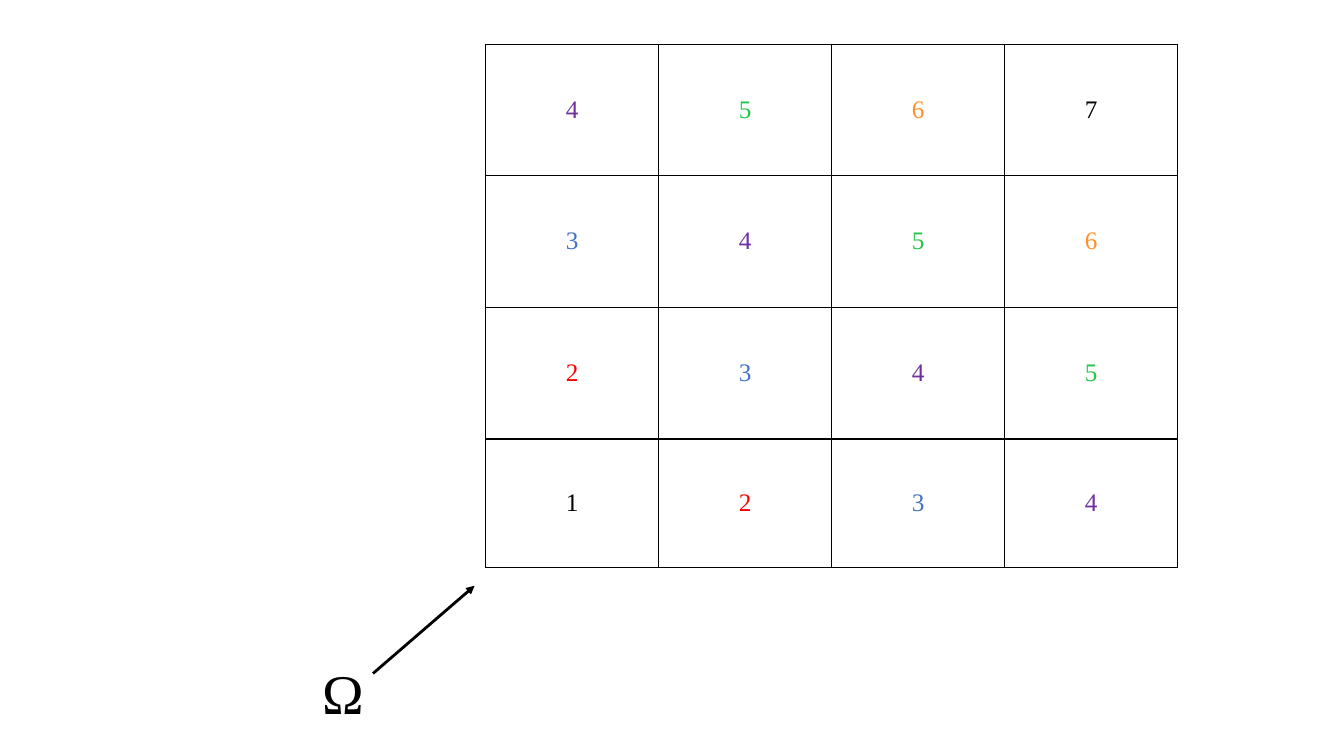
"""Build a slide with a four-by-four grid of sums and an arrow from Omega."""
from dataclasses import dataclass

import lxml.etree
import pptx
import pptx.dml.color
import pptx.enum.shapes
import pptx.enum.text
import pptx.oxml
import pptx.oxml.ns
import pptx.slide
import pptx.table
import pptx.text.text
import pptx.util

FONT = "Times New Roman"
COLOURS = {
    "black": "000000",
    "red": "FF0000",
    "blue": "4472C4",
    "purple": "7030A0",
    "green": "24C447",
    "orange": "FF8F28",
}
SUM_COLOURS = ["black", "red", "blue", "purple", "green", "orange", "black"]
COLUMN_COUNT = 4
COLUMN_WIDTH = 4.36
ROW_HEIGHTS = [3.3, 3.32, 3.32, 3.25]


@dataclass(frozen=True)
class GridCell:
    row: int
    column: int

    @property
    def total(self) -> int:
        return len(ROW_HEIGHTS) - self.row + self.column

    @property
    def colour(self) -> str:
        return SUM_COLOURS[self.total - 1]


def rgb(colour: str) -> pptx.dml.color.RGBColor:
    return pptx.dml.color.RGBColor.from_string(COLOURS[colour])


def format_runs(paragraph: pptx.text.text._Paragraph, size: int, colour: str) -> None:
    for run in paragraph.runs:
        run.font.name = FONT
        run.font.size = pptx.util.Pt(size)
        run.font.color.rgb = rgb(colour)


def add_borders(cell: pptx.table._Cell) -> None:
    properties = cell._tc.get_or_add_tcPr()
    for position, side in enumerate(("lnL", "lnR", "lnT", "lnB")):
        border = pptx.oxml.parse_xml(
            f'<a:{side} {pptx.oxml.ns.nsdecls("a")} w="{pptx.util.Pt(1)}">'
            f'<a:solidFill><a:srgbClr val="{COLOURS["black"]}"/></a:solidFill></a:{side}>'
        )
        properties.insert(position, border)


def draw_cell(table: pptx.table.Table, grid_cell: GridCell) -> None:
    cell = table.cell(grid_cell.row, grid_cell.column)
    cell.fill.background()
    add_borders(cell)
    cell.vertical_anchor = pptx.enum.text.MSO_ANCHOR.MIDDLE
    cell.text_frame.text = str(grid_cell.total)
    paragraph = cell.text_frame.paragraphs[0]
    paragraph.alignment = pptx.enum.text.PP_ALIGN.CENTER
    format_runs(paragraph, 18, grid_cell.colour)


def draw_grid(slide: pptx.slide.Slide) -> None:
    table = slide.shapes.add_table(
        len(ROW_HEIGHTS), COLUMN_COUNT,
        pptx.util.Cm(12.24), pptx.util.Cm(1.12),
        pptx.util.Cm(COLUMN_COUNT * COLUMN_WIDTH), pptx.util.Cm(sum(ROW_HEIGHTS)),
    ).table
    table.first_row = False
    table.horz_banding = False
    for column in table.columns:
        column.width = pptx.util.Cm(COLUMN_WIDTH)
    for row, height in zip(table.rows, ROW_HEIGHTS):
        row.height = pptx.util.Cm(height)
    for row in range(len(ROW_HEIGHTS)):
        for column in range(COLUMN_COUNT):
            draw_cell(table, GridCell(row, column))


def draw_arrow(slide: pptx.slide.Slide) -> None:
    arrow = slide.shapes.add_connector(
        pptx.enum.shapes.MSO_CONNECTOR.STRAIGHT,
        pptx.util.Cm(9.4), pptx.util.Cm(16.97),
        pptx.util.Cm(11.96), pptx.util.Cm(14.76),
    )
    arrow.line.color.rgb = rgb("black")
    arrow.line.width = pptx.util.Pt(2)
    line = arrow.line._get_or_add_ln()
    lxml.etree.SubElement(line, pptx.oxml.ns.qn("a:tailEnd"), type="triangle")
    lxml.etree.SubElement(arrow._element.spPr, pptx.oxml.ns.qn("a:effectLst"))


def draw_omega(slide: pptx.slide.Slide) -> None:
    text_box = slide.shapes.add_textbox(
        pptx.util.Cm(7.87), pptx.util.Cm(16.48), pptx.util.Cm(1.75), pptx.util.Cm(1.96)
    )
    text_frame = text_box.text_frame
    text_frame.word_wrap = True
    text_frame.auto_size = pptx.enum.text.MSO_AUTO_SIZE.SHAPE_TO_FIT_TEXT
    text_frame.text = "Ω"
    format_runs(text_frame.paragraphs[0], 40, "black")


def main() -> None:
    presentation = pptx.Presentation()
    presentation.slide_width = pptx.util.Cm(33.87)
    presentation.slide_height = pptx.util.Cm(19.05)
    slide = presentation.slides.add_slide(presentation.slide_layouts[6])
    draw_grid(slide)
    draw_arrow(slide)
    draw_omega(slide)
    presentation.save("out.pptx")


if __name__ == "__main__":
    main()
